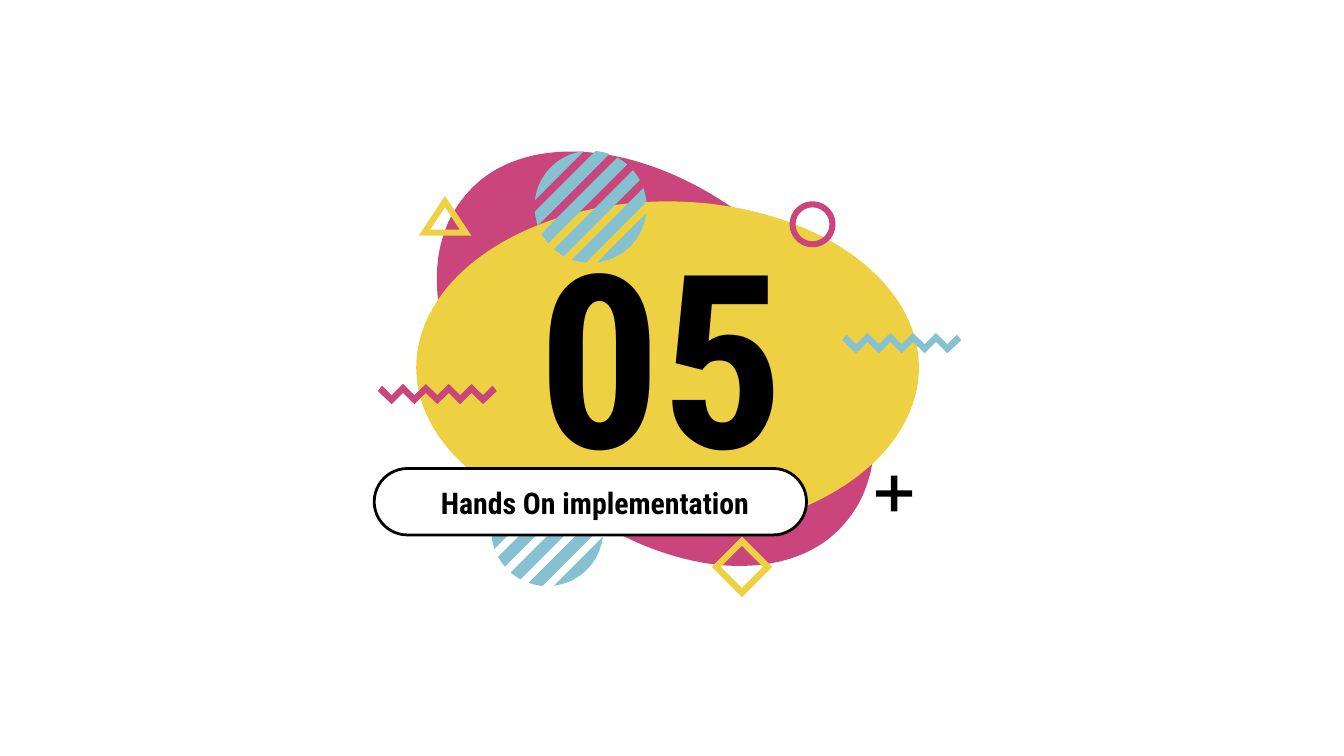
from math import acos, cos, pi, sin

from pptx import Presentation
from pptx.dml.color import RGBColor
from pptx.enum.shapes import MSO_SHAPE as SHAPE
from pptx.enum.text import MSO_ANCHOR as ANCHOR, MSO_AUTO_SIZE as AUTO, PP_ALIGN as ALIGN
from pptx.util import Pt

COLORS = {
    "pink": "C9457C", "yellow": "EED143", "blue": "85C1D0",
    "pale": "CCE6EC", "white": "FFFFFF", "black": "000000",
}
FONT = "Roboto Condensed"


def rgb(name):
    return RGBColor.from_string(COLORS[name])


def paint(sp, fill, line=None, width=1.5):
    sp.shadow.inherit = False
    sp.fill.solid()
    sp.fill.fore_color.rgb = rgb(fill)
    if line:
        sp.line.color.rgb = rgb(line)
        sp.line.width = Pt(width)
    else:
        sp.line.fill.background()


def add_preset(s, kind, x, y, w, h, fill, adj=None, line=None):
    sp = s.shapes.add_shape(kind, Pt(x), Pt(y), Pt(w), Pt(h))
    if adj is not None:
        sp.adjustments[0] = adj
    paint(sp, fill, line)


def add_outline(s, fill, *contours):
    """Closed polygon; a second contour cuts a hole."""
    contours = [[(Pt(x), Pt(y)) for x, y in points] for points in contours]
    builder = s.shapes.build_freeform(*contours[0][0], scale=1.0)
    for i, points in enumerate(contours):
        if i:
            builder.move_to(*points[0])
        builder.add_line_segments(points[1:], close=True)
    paint(builder.convert_to_shape(), fill)


def bezier(p0, p1, p2, p3, steps=24):
    for i in range(steps):
        t = i / steps
        weights = ((1 - t) ** 3, 3 * t * (1 - t) ** 2, 3 * t * t * (1 - t), t ** 3)
        yield tuple(sum(w * p[k] for w, p in zip(weights, (p0, p1, p2, p3))) for k in (0, 1))


def add_blob(s, cx, cy, fill):
    """Tilted oval, symmetric about its centre."""
    curves = [
        ((-45, -111), (-68.4, -111), (-88.5, -103.5), (-101.5, -88)),
        ((-101.5, -88), (-133.9, -51), (-114.5, 19), (-58.5, 67.6)),
        ((-58.5, 67.6), (-25.2, 96), (12.8, 111), (45, 111)),
    ]
    half = [p for curve in curves for p in bezier(*curve)]
    add_outline(s, fill, [(cx + k * x, cy + k * y) for k in (1, -1) for x, y in half])


def add_striped_circle(s, cx, cy, first="blue", r=30, bands=6, half=3.2, steps=12):
    """Circle cut into diagonal bands; each band is bounded by two arcs."""
    pitch = 2 * (r - half) / (bands - 1)
    for i in range(bands):
        mid = half - r + i * pitch
        a, b = (acos(max(-1, min(1, d / r))) for d in (mid - half, mid + half))
        arc = [a + (b - a) * k / steps for k in range(steps + 1)]
        angles = arc + [-t for t in reversed(arc)]
        add_outline(s, "blue" if i else first,
                    [(cx + r * cos(t + pi / 4), cy + r * sin(t + pi / 4)) for t in angles])


def add_zigzag(s, x, y, fill, turns=9, step=6.12, inset=7.4):
    right = 2 * inset + (turns - 1) * step
    xs = [inset + i * step for i in range(turns)]
    upper = [(v, 0 if i % 2 else 6) for i, v in enumerate(xs)]
    lower = [(v, py + 4.8) for v, py in reversed(upper)]
    points = [(2.3, 0.9), *upper, (right - 2.3, 0.9), (right, 3.8), *lower, (0, 3.8)]
    add_outline(s, fill, [(x + px, y + py) for px, py in points])


def diamond(cx, cy, r):
    return [(cx, cy - r), (cx - r, cy), (cx, cy + r), (cx + r, cy)]


def set_text(sp, text, size, color="black", bold=True, anchor=ANCHOR.TOP, align=ALIGN.CENTER):
    tf = sp.text_frame
    tf.word_wrap = True
    tf.auto_size = AUTO.NONE
    tf.vertical_anchor = anchor
    tf.margin_left = tf.margin_right = tf.margin_top = tf.margin_bottom = Pt(7.2)
    p = tf.paragraphs[0]
    p.alignment = align
    r = p.add_run()
    r.text = text
    r.font.name, r.font.size, r.font.bold = FONT, Pt(size), bold
    r.font.color.rgb = rgb(color)


def main():
    prs = Presentation()
    prs.slide_width, prs.slide_height = Pt(720), Pt(405)
    s = prs.slides.add_slide(prs.slide_layouts[5])

    # Background blobs
    add_striped_circle(s, 293.2, 284, first="pale")
    add_blob(s, 351.2, 192.2, "pink")
    add_preset(s, SHAPE.OVAL, 223, 107.9, 269.3, 178, "yellow")

    # Label pill and small ornaments
    add_preset(s, SHAPE.DONUT, 423, 107.9, 24.6, 24.6, "pink", adj=0.13)
    add_preset(s, SHAPE.ROUNDED_RECTANGLE, 200.5, 251, 231.6, 35.6, "white", adj=0.5, line="black")
    add_outline(s, "yellow", diamond(397.5, 303.7, 16.2), diamond(397.5, 303.7, 11.3))
    add_outline(s, "yellow", [(238.4, 105), (224.4, 126.2), (252.5, 126.2)],
                [(238.4, 111), (246.3, 123), (230.5, 123)])
    add_preset(s, SHAPE.CROSS, 469.4, 254.8, 19.2, 19.2, "black", adj=0.41)
    add_striped_circle(s, 316.4, 110.8)
    add_zigzag(s, 202.4, 205.7, "pink")
    add_zigzag(s, 451.2, 178.4, "blue")

    # Section number, brought in front of the shapes, and section name
    title = s.shapes.title
    title.left, title.top, title.width, title.height = Pt(244.8), Pt(115.9), Pt(218.9), Pt(157.7)
    set_text(title, "05", 130, anchor=ANCHOR.BOTTOM)
    s.shapes.element.append(title.element)
    label = s.shapes.add_textbox(Pt(214.4), Pt(252.7), Pt(212.4), Pt(41.8))
    set_text(label, "Hands On implementation ", 16)

    prs.save("out.pptx")


if __name__ == "__main__":
    main()
